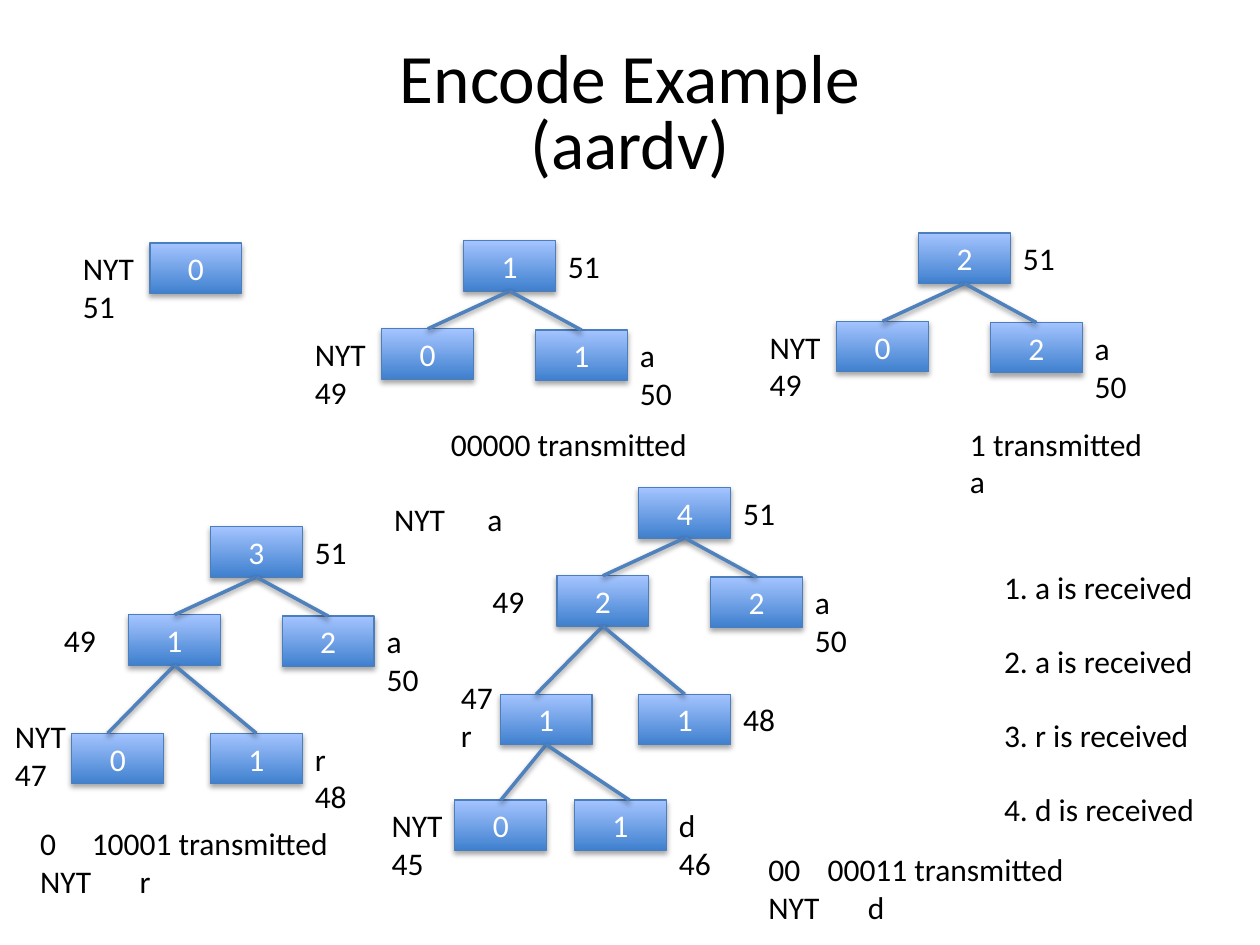
from lxml import etree
from pptx import Presentation, util as u
from pptx.dml.color import RGBColor
from pptx.enum import shapes, text
from pptx.oxml import ns

COLORS = {"ink": "000000", "count": "FFFFFF", "bottom": "3F80CE",
          "top": "A4C4FF", "border": "4B7EBC", "edge": "4F81BD"}
NODE_W, NODE_H = 0.73, 0.4
LABEL_W = 0.63

deck = Presentation()
deck.slide_width, deck.slide_height = u.Inches(10), u.Inches(7.5)
slide = deck.slides.add_slide(deck.slide_layouts[6])


def write(frame, lines, size=18, color="ink", align=text.PP_ALIGN.LEFT,
          anchor=text.MSO_ANCHOR.TOP, spacing=None, tabs=(), gap=0):
    """Write one paragraph per line; tabs holds one tab stop per line."""
    frame.word_wrap = True
    frame.vertical_anchor = anchor
    frame.margin_right = 0 if align == text.PP_ALIGN.LEFT else u.Inches(0.1)
    for i, line in enumerate(lines):
        para = frame.paragraphs[0] if i == 0 else frame.add_paragraph()
        para.text = line
        para.alignment = align
        if spacing:
            para.line_spacing = spacing
        if i and gap:
            para.space_before = u.Pt(gap)
        for run in para.runs:
            run.font.size, run.font.name = u.Pt(size), "Calibri"
            run.font.color.rgb = RGBColor.from_string(COLORS[color])
        if tabs:
            stops = etree.SubElement(para._p.get_or_add_pPr(), ns.qn("a:tabLst"))
            etree.SubElement(stops, ns.qn("a:tab"),
                             pos=str(u.Inches(tabs[i])), algn="l")


def add_shadow(item, distance, alpha):
    effects = item._element.spPr.find(ns.qn("a:effectLst"))
    if effects is None:
        effects = etree.SubElement(item._element.spPr, ns.qn("a:effectLst"))
    outer = etree.SubElement(effects, ns.qn("a:outerShdw"), blurRad=str(u.Pt(3.1)),
                             dist=str(u.Pt(distance)), dir="5400000", rotWithShape="0")
    black = etree.SubElement(outer, ns.qn("a:srgbClr"), val=COLORS["ink"])
    etree.SubElement(black, ns.qn("a:alpha"), val=str(alpha * 1000))


# Title
title = slide.shapes.add_textbox(*map(u.Inches, (0.5, 0.3, 9, 1.25)))
write(title.text_frame, ["Encode Example\v(aardv)"], size=39.6, spacing=0.8,
      align=text.PP_ALIGN.CENTER, anchor=text.MSO_ANCHOR.MIDDLE)

# Tree slots: offset from the root, parent, shift of the edge's lower end
SLOTS = {
    "root": (0, 0, None, 0),
    "left": (-0.65, 0.7, "root", 0),
    "right": (0.57, 0.71, "root", 0),
    "left2": (-1.1, 1.64, "left", -0.08),
    "right2": (0, 1.64, "left", 0),
    "left3": (-1.46, 2.48, "left2", 0),
    "right3": (-0.51, 2.48, "left2", 0.07),
}

# Trees: root position, then slot, count, label and label nudge from its side
TREES = [
    (1.19, 1.93, [("root", "0", "NYT\v51", 0, 0)]),
    (3.68, 1.91, [("root", "1", "51", 0, 0), ("left", "0", "NYT\v49", 0, 0),
                  ("right", "1", "a\v50", 0, 0)]),
    (7.29, 1.85, [("root", "2", "51", 0, 0), ("left", "0", "NYT\v49", 0, 0),
                  ("right", "2", "a\v50", 0, 0)]),
    (1.67, 4.18, [("root", "3", "51", 0, 0), ("left", "1", "49", 0.02, 0),
                  ("right", "2", "a\v50", 0, 0), ("left2", "0", "NYT\v47", 0.08, -0.18),
                  ("right2", "1", "r\v48", 0, 0)]),
    (5.07, 3.87, [("root", "4", "51", 0, 0), ("left", "2", "49", 0.02, 0),
                  ("right", "2", "a\v50", 0, 0), ("left2", "1", "47\vr", 0.22, -0.18),
                  ("right2", "1", "48", 0, 0), ("left3", "0", "NYT\v45", 0.03, 0),
                  ("right3", "1", "d\v46", 0, 0)]),
]

for root_x, root_y, nodes in TREES:
    for slot, count, label, nudge_x, nudge_y in nodes:
        dx, dy, parent, shift = SLOTS[slot]
        x, y = root_x + dx, root_y + dy

        # Node
        node = slide.shapes.add_shape(shapes.MSO_SHAPE.RECTANGLE,
                                      *map(u.Inches, (x, y, NODE_W, NODE_H)))
        node.shadow.inherit = False
        node.fill.gradient()
        node.fill.gradient_angle = 90
        for stop, name in zip(node.fill.gradient_stops, ("bottom", "top")):
            stop.color.rgb = RGBColor.from_string(COLORS[name])
        node.line.color.rgb = RGBColor.from_string(COLORS["border"])
        node.line.width = u.Pt(0.75)
        add_shadow(node, 1.8, 35)
        write(node.text_frame, [count], color="count", align=text.PP_ALIGN.CENTER,
              anchor=text.MSO_ANCHOR.MIDDLE)

        # Label beside the node
        on_left = slot.startswith("left") or len(nodes) == 1
        label_x = x + (-LABEL_W if on_left else NODE_W) + nudge_x
        label_h = 0.71 if "\v" in label else 0.4
        tag = slide.shapes.add_textbox(
            *map(u.Inches, (label_x, y + nudge_y, LABEL_W, label_h)))
        write(tag.text_frame, [label])

        # Edge from the parent
        if parent:
            parent_x, parent_y = SLOTS[parent][:2]
            edge = slide.shapes.add_connector(
                shapes.MSO_CONNECTOR.STRAIGHT,
                *map(u.Inches, (root_x + parent_x + NODE_W / 2,
                                root_y + parent_y + NODE_H,
                                x + NODE_W / 2 + shift, y)))
            edge.line.color.rgb = RGBColor.from_string(COLORS["edge"])
            edge.line.width = u.Pt(2)
            add_shadow(edge, 1.6, 38)

# Transmitted codes: position, width, lines, tab stop of each line, gap
CODES = [
    (3.03, 3.32, 2.56, ["\t00000 transmitted", "NYT\ta"], (0.45, 0.74), 21.6),
    (7.38, 3.32, 2.63, ["\t1 transmitted", "\ta"], (0.22, 0.22), 0),
    (0.22, 6.49, 2.75, ["0\t10001 transmitted", "NYT\tr"], (0.41, 0.79), 0),
    (6, 6.7, 2.75, ["00\t00011 transmitted", "NYT\td"], (0.47, 0.79), 0),
]
for x, y, width, lines, tabs, gap in CODES:
    code = slide.shapes.add_textbox(*map(u.Inches, (x, y, width, 0.71)))
    write(code.text_frame, lines, tabs=tabs, gap=gap)

# Received symbols
for i, symbol in enumerate("aard"):
    step = slide.shapes.add_textbox(*map(u.Inches, (7.87, 4.46 + i * 0.587, 1.98, 0.4)))
    write(step.text_frame, [f"{i + 1}. {symbol} is received"])

deck.save("out.pptx")
